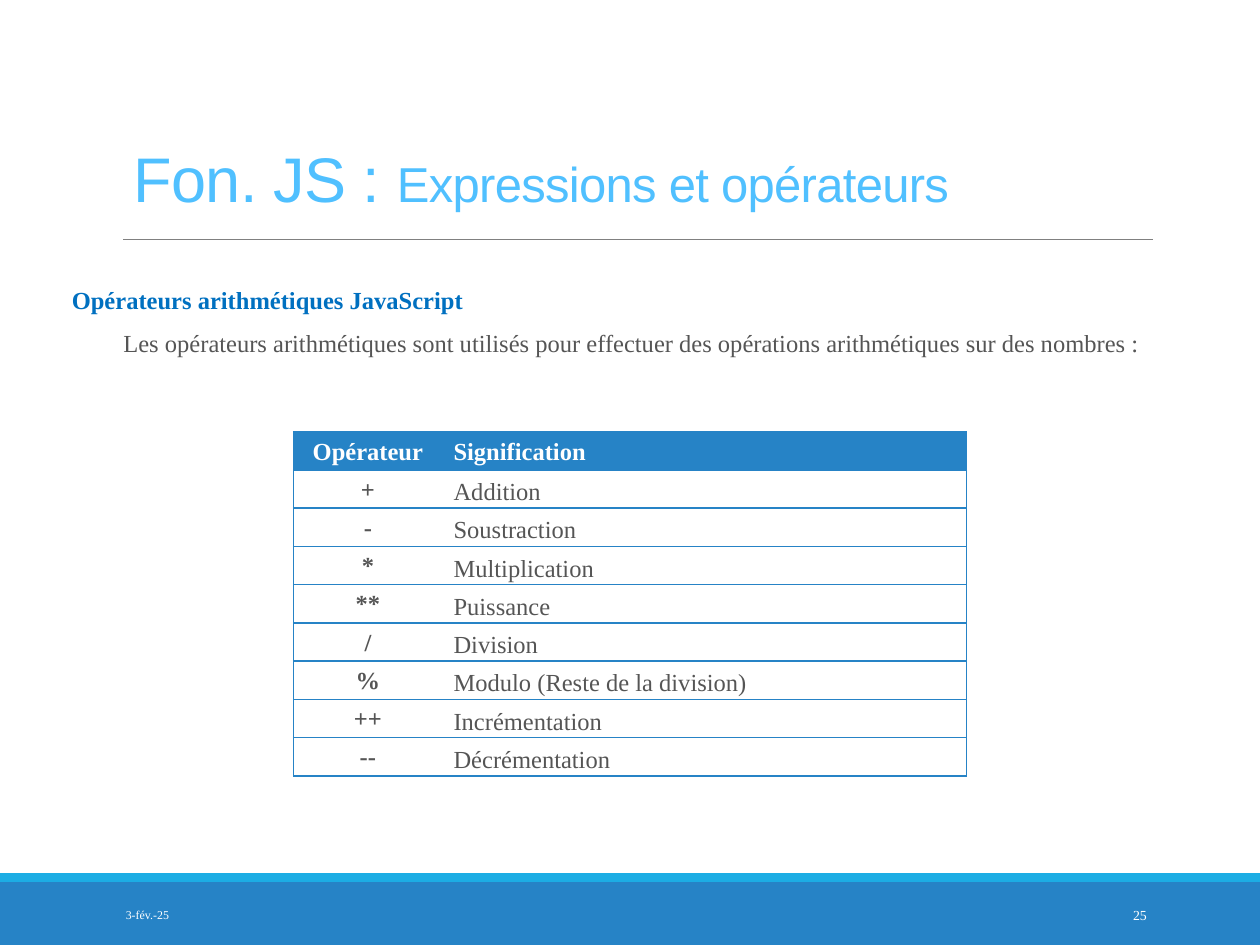
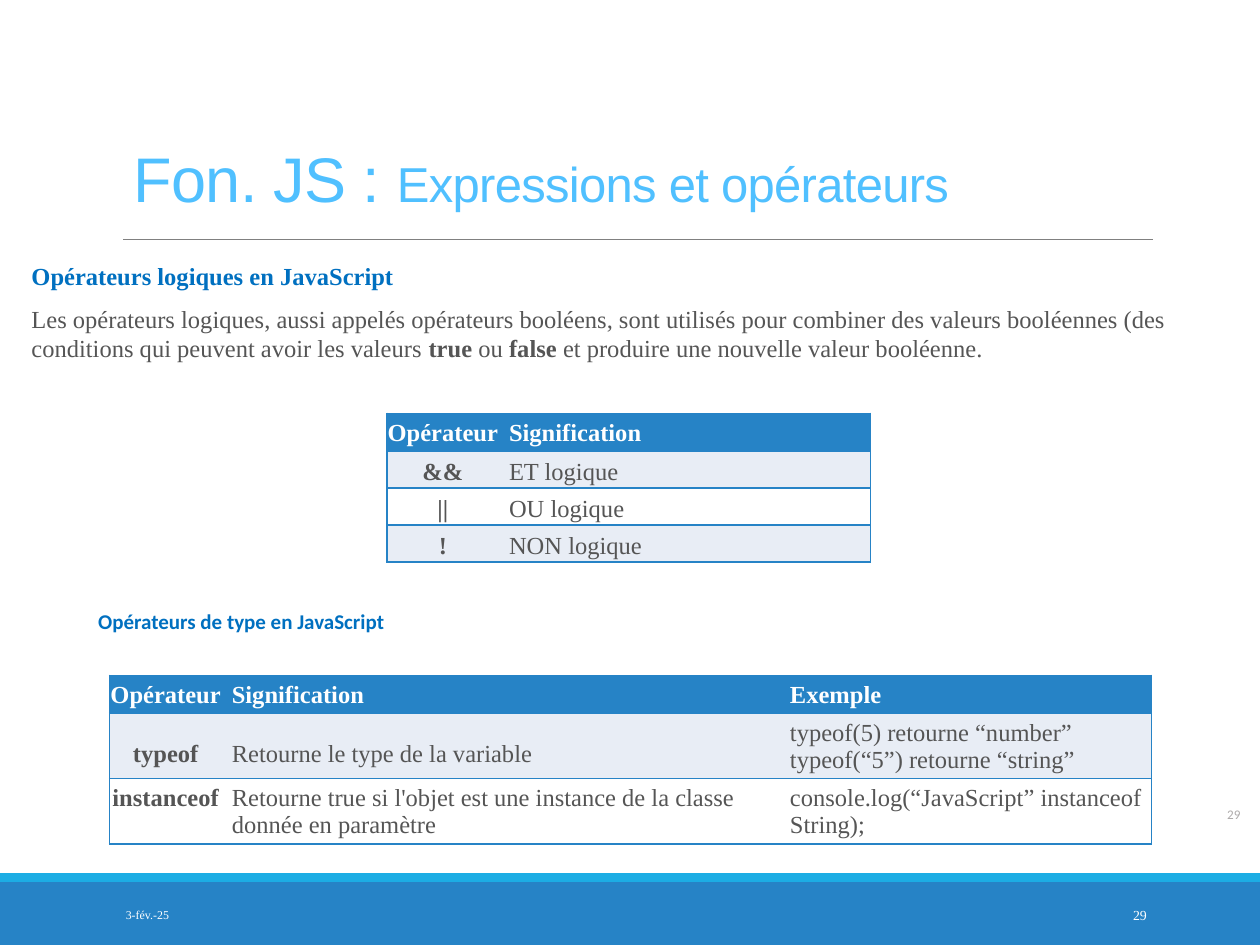
from lxml import etree
from pptx import Presentation
from pptx.dml.color import RGBColor
from pptx.enum import shapes, text
from pptx.oxml import ns
from pptx.util import Inches, Pt

BLUE, CYAN, SKY, LINK = "2683C6", "1CADE4", "50C0FF", "0070C0"
WHITE, PALE, INK, GREY, RULE = "FFFFFF", "E8EDF5", "555555", "AEABAB", "808080"
SERIF, SANS, HEAD = "Times New Roman", "Calibri", "Arial"
LEFT, MID, RIGHT = text.PP_ALIGN.LEFT, text.PP_ALIGN.CENTER, text.PP_ALIGN.RIGHT
TOP, CENTRE = text.MSO_ANCHOR.TOP, text.MSO_ANCHOR.MIDDLE

SIGNS = [
    ("Opérateur", "Signification"),
    ("+", "Addition"),
    ("-", "Soustraction"),
    ("*", "Multiplication"),
    ("**", "Puissance"),
    ("/", "Division"),
    ("%", "Modulo (Reste de la division)"),
    ("++", "Incrémentation"),
    ("--", "Décrémentation"),
]
LOGIC = [
    ("Opérateur", "Signification"),
    ("&&", "ET logique"),
    ("||", "OU logique"),
    ("!", "NON logique"),
]
TYPES = [
    ("Opérateur", "Signification", "Exemple"),
    ("typeof", "Retourne le type de la variable",
     "typeof(5) retourne “number”\ntypeof(“5”) retourne “string”"),
    ("instanceof",
     "Retourne true si l'objet est une instance de la classe donnée en paramètre",
     "console.log(“JavaScript” instanceof String);"),
]


def rgb(code):
    return RGBColor.from_string(code)


def style(para, name, size, color, bold=False, align=LEFT):
    para.alignment = align
    font = para.font
    font.name, font.bold = name, bold
    font.color.rgb = rgb(color)
    if size:
        font.size = Pt(size)


def add_box(slide, x, y, w, h, anchor=TOP, pad=0):
    """Add an empty wrapping text box and return its frame."""
    frame = slide.shapes.add_textbox(
        Inches(x), Inches(y), Inches(w), Inches(h)).text_frame
    frame.word_wrap = True
    frame.vertical_anchor = anchor
    frame.margin_left = frame.margin_right = Inches(pad)
    frame.margin_top = frame.margin_bottom = Inches(0.01)
    return frame


def add_label(slide, words, x, y, w, h, look, anchor=TOP, pad=0):
    para = add_box(slide, x, y, w, h, anchor, pad).paragraphs[0]
    para.text = words
    style(para, *look)


def add_intro(slide, x, y, w, head, parts, indent=0):
    """Add a blue heading and one paragraph; parts are (words, bold)."""
    frame = add_box(slide, x, y, w, 0.8)
    frame.paragraphs[0].text = head
    style(frame.paragraphs[0], SERIF, 14, LINK, True)
    para = frame.add_paragraph()
    para.space_before = Pt(7.9)
    if indent:
        para._p.get_or_add_pPr().set("marL", str(Inches(indent)))
    style(para, SERIF, 14, INK)
    for words, bold in parts:
        run = para.add_run()
        run.text = words
        if bold:
            run.font.bold = True


def add_band(slide, y, h, color):
    band = slide.shapes.add_shape(
        shapes.MSO_SHAPE.RECTANGLE, 0, Inches(y), Inches(10), Inches(h))
    band.shadow.inherit = False
    band.fill.solid()
    band.fill.fore_color.rgb = rgb(color)
    band.line.fill.background()


def add_rule(slide, x, y, end):
    rule = slide.shapes.add_connector(
        shapes.MSO_CONNECTOR.STRAIGHT,
        Inches(x), Inches(y), Inches(end), Inches(y))
    rule.line.color.rgb = rgb(RULE)
    rule.line.width = Pt(0.5)
    etree.SubElement(rule._element.spPr, ns.qn("a:effectLst"))


def set_title(slide):
    title = slide.shapes.title
    title.left, title.top = Inches(0.96), Inches(0.68)
    title.width, title.height = Inches(7.84), Inches(1.08)
    frame = title.text_frame
    frame.auto_size = text.MSO_AUTO_SIZE.NONE
    frame.vertical_anchor = text.MSO_ANCHOR.BOTTOM
    para = frame.paragraphs[0]
    para.line_spacing = 0.85
    style(para, HEAD, None, SKY)
    for words, size in (("Fon. JS : ", 36), ("Expressions et opérateurs", 28)):
        run = para.add_run()
        run.text = words
        run.font.size = Pt(size)
        run._r.get_or_add_rPr().set("spc", "-40")


def set_edges(cell, drawn):
    """Draw the named cell sides in blue and clear the others."""
    props = cell._tc.get_or_add_tcPr()
    for side in "LRTB":
        line = etree.SubElement(props, ns.qn("a:ln" + side), w=str(Pt(1)))
        if side in drawn:
            fill = etree.SubElement(line, ns.qn("a:solidFill"))
            etree.SubElement(fill, ns.qn("a:srgbClr"), val=BLUE)
        else:
            etree.SubElement(line, ns.qn("a:noFill"))


def add_grid(slide, rows, x, y, widths, heights, indent, tops, band):
    """Add an operator table; tops maps (row, column) to a top margin."""
    grid = slide.shapes.add_table(
        len(rows), len(widths), Inches(x), Inches(y),
        Inches(sum(widths)), Inches(sum(heights))).table
    grid.first_row = grid.horz_banding = False
    for column, width in zip(grid.columns, widths):
        column.width = Inches(width)
    for r, (row, height) in enumerate(zip(rows, heights)):
        grid.rows[r].height = Inches(height)
        for c, words in enumerate(row):
            cell = grid.cell(r, c)
            first, last = c == 0, c == len(row) - 1
            set_edges(cell, "TB" + "L" * first + "R" * last)
            cell.fill.solid()
            cell.fill.fore_color.rgb = rgb(
                BLUE if r == 0 else band if r % 2 else WHITE)
            cell.margin_left = Inches(0 if first else indent)
            cell.margin_right = cell.margin_bottom = 0
            cell.margin_top = Inches(tops(r, c))
            cell.text_frame.text = words
            for para in cell.text_frame.paragraphs:
                style(para, SERIF, 14, INK if r else WHITE,
                      first or r == 0, MID if first else LEFT)


def add_page(deck, number):
    """Start a slide with its title, rule, bands, date and number."""
    slide = deck.slides.add_slide(deck.slide_layouts[5])
    add_band(slide, 7, 0.5, BLUE)
    add_band(slide, 6.93, 0.07, CYAN)
    add_rule(slide, 0.98, 1.9, 9.15)
    set_title(slide)
    add_label(slide, "3-fév.-25", 0.9, 7.06, 2.03, 0.4,
              (SERIF, 6.8, WHITE), CENTRE, 0.1)
    add_label(slide, number, 8.12, 7.06, 1.08, 0.4,
              (SERIF, 7.9, WHITE, False, RIGHT), CENTRE, 0.1)
    return slide


def main():
    deck = Presentation()
    deck.slide_width, deck.slide_height = Inches(10), Inches(7.5)

    # Arithmetic operators
    page = add_page(deck, "25")
    add_intro(page, 0.57, 2.25, 8.6, "Opérateurs arithmétiques JavaScript", [
        ("Les opérateurs arithmétiques sont utilisés pour effectuer des "
         "opérations arithmétiques sur des nombres :", False)], 0.41)
    add_grid(page, SIGNS, 2.33, 3.43, [1.18, 4.16], [0.3] * 9, 0.09,
             lambda r, c: 0.07 if r and c else 0.05, WHITE)

    # Logical operators
    page = add_page(deck, "29")
    add_intro(page, 0.25, 2.06, 9.16, "Opérateurs logiques en JavaScript", [
        ("Les opérateurs logiques, aussi appelés opérateurs booléens, sont "
         "utilisés pour combiner des valeurs booléennes (des conditions qui "
         "peuvent avoir les valeurs ", False),
        ("true ", True), ("ou ", False), ("false ", True),
        ("et produire une nouvelle valeur booléenne.", False)])
    add_grid(page, LOGIC, 3.07, 3.28, [0.89, 2.95], [0.3] + [0.27] * 3, 0.08,
             lambda r, c: 0.06 if r else 0.05, PALE)

    # Type operators
    add_label(page, "Opérateurs de type en JavaScript", 0.78, 4.82, 2.6, 0.21,
              (SANS, 12, LINK, True))
    add_grid(page, TYPES, 0.87, 5.36, [0.89, 4.43, 2.95], [0.3, 0.52, 0.52],
             0.08, lambda r, c: 0.22 if r == 1 and c < 2 else 0.05, PALE)
    add_label(page, "29", 9.74, 6.39, 0.2, 0.13, (SANS, 7.5, GREY))

    deck.save("out.pptx")


if __name__ == "__main__":
    main()
